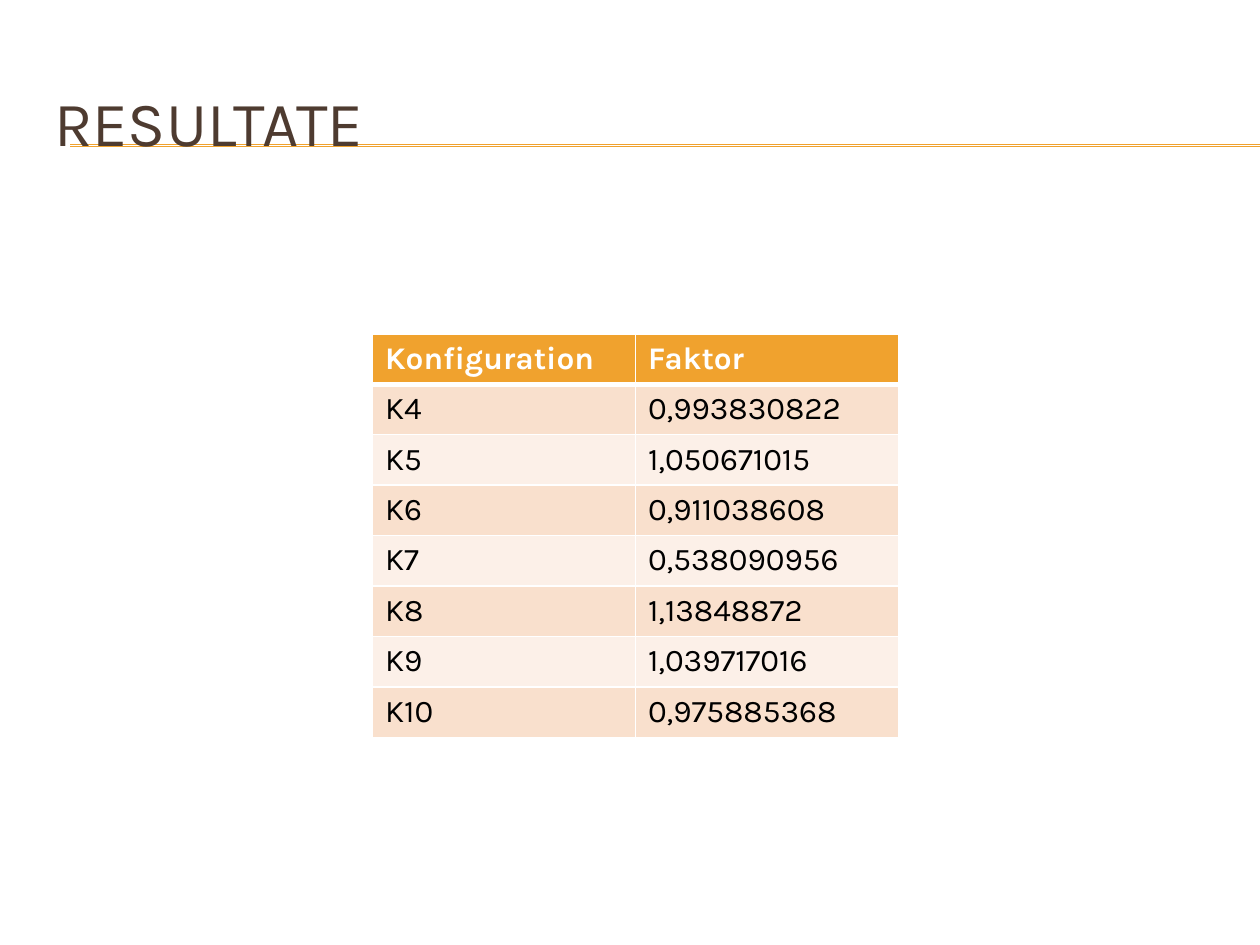
from lxml.etree import SubElement
from pptx import Presentation
from pptx.dml.color import RGBColor
from pptx.enum.shapes import MSO_CONNECTOR as Connector
from pptx.enum.text import MSO_ANCHOR as Anchor
from pptx.oxml.ns import qn
from pptx.util import Cm, Pt

FONT = "Karla"
ORANGE = RGBColor(0xF0, 0xA2, 0x2E)
BROWN = RGBColor(0x4E, 0x3B, 0x30)
WHITE = RGBColor(0xFF, 0xFF, 0xFF)
BLACK = RGBColor(0x00, 0x00, 0x00)
BANDS = (RGBColor(0xF9, 0xE0, 0xCD), RGBColor(0xFC, 0xF0, 0xE8))

ROWS = [
    ("Konfiguration", "Faktor"),
    ("K4", "0,993830822"),
    ("K5", "1,050671015"),
    ("K6", "0,911038608"),
    ("K7", "0,538090956"),
    ("K8", "1,13848872"),
    ("K9", "1,039717016"),
    ("K10", "0,975885368"),
]


def style_paragraph(paragraph, size, color, bold=False):
    font = paragraph.font
    font.name, font.size, font.bold = FONT, Pt(size), bold
    font.color.rgb = color


def add_rule(slide, y):
    rule = slide.shapes.add_connector(
        Connector.STRAIGHT, Cm(1.42), Cm(y), Cm(25.4), Cm(y))
    rule.line.color.rgb = ORANGE
    rule.line.width = Pt(0.75)
    SubElement(rule._element.spPr, qn("a:effectLst"))


def add_title(slide, text):
    box = slide.shapes.add_textbox(Cm(0.84), Cm(1.27), Cm(24.13), Cm(2.34))
    frame = box.text_frame
    frame.word_wrap = True
    frame.vertical_anchor = Anchor.MIDDLE
    frame.text = text
    style_paragraph(frame.paragraphs[0], 36, BROWN)


def set_borders(cell, top, bottom):
    properties = cell._tc.get_or_add_tcPr()
    for side, width in (("L", 1), ("R", 1), ("T", top), ("B", bottom)):
        line = SubElement(properties, qn(f"a:ln{side}"), w=str(Pt(width)))
        fill = SubElement(line, qn("a:solidFill"))
        SubElement(fill, qn("a:srgbClr"), val=str(WHITE))


def add_factor_table(slide):
    table = slide.shapes.add_table(
        len(ROWS), 2, Cm(7.51), Cm(6.73), Cm(10.6), Cm(7.52)).table
    for row_index, values in enumerate(ROWS):
        header = row_index == 0
        fill = ORANGE if header else BANDS[(row_index - 1) % 2]
        for column_index, value in enumerate(values):
            cell = table.cell(row_index, column_index)
            cell.text = value
            style_paragraph(cell.text_frame.paragraphs[0], 18,
                            WHITE if header else BLACK, header)
            # The header is set off by a thicker line below it
            set_borders(cell, top=3 if row_index == 1 else 1,
                        bottom=3 if header else 1)
            cell.fill.solid()
            cell.fill.fore_color.rgb = fill


def main():
    presentation = Presentation()
    presentation.slide_width, presentation.slide_height = Cm(25.4), Cm(19.05)
    slide = presentation.slides.add_slide(presentation.slide_layouts[6])

    # Double rule under the heading
    for y in (2.92, 2.95):
        add_rule(slide, y)

    # Heading and results
    add_title(slide, "RESULTATE")
    add_factor_table(slide)

    presentation.save("out.pptx")


main()
